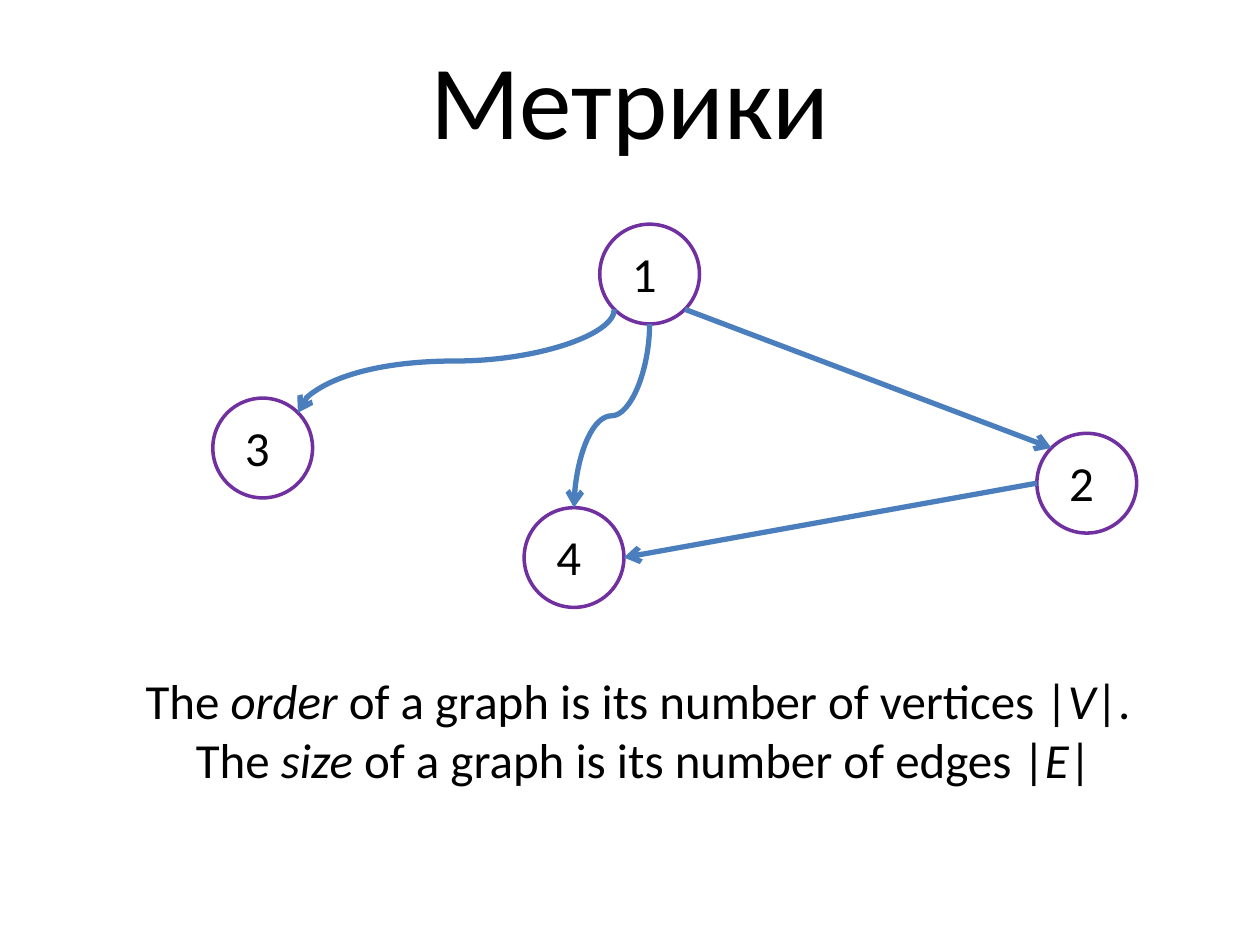
from math import cos, radians, sin

from lxml.etree import SubElement
from pptx import Presentation
from pptx.dml.color import RGBColor
from pptx.enum.shapes import MSO_CONNECTOR, MSO_SHAPE
from pptx.enum.text import MSO_ANCHOR, PP_ALIGN
from pptx.oxml.ns import qn
from pptx.util import Pt

COLORS = {name: RGBColor.from_string(code) for name, code in {
    "text": "000000", "node": "FFFFFF", "ring": "7030A0", "edge": "4B7EBC"}.items()}
FRAME = {"word_wrap": True, "vertical_anchor": MSO_ANCHOR.MIDDLE,
         "margin_left": 0, "margin_right": 0, "margin_top": 0, "margin_bottom": 0}
DIAMETER = 57

prs = Presentation()
prs.slide_width, prs.slide_height = Pt(720), Pt(540)
slide = prs.slides.add_slide(prs.slide_layouts[6])


def add_text(left, top, width, height, lines, size):
    """Centred text; each line is a list of pieces, every second one italic."""
    frame = slide.shapes.add_textbox(Pt(left), Pt(top), Pt(width), Pt(height)).text_frame
    for name, value in FRAME.items():
        setattr(frame, name, value)
    for number, pieces in enumerate(lines):
        paragraph = frame.add_paragraph() if number else frame.paragraphs[0]
        paragraph.alignment = PP_ALIGN.CENTER
        for position, piece in enumerate(pieces):
            run = paragraph.add_run()
            run.text = piece
            for name, value in {"name": "Calibri", "size": Pt(size),
                                "italic": position % 2 == 1}.items():
                setattr(run.font, name, value)
            run.font.color.rgb = COLORS["text"]


def rim_point(vertex, angle):
    """Point on a vertex circle, clockwise from the right."""
    x, y = vertices[vertex]
    return (x + DIAMETER / 2 * cos(radians(angle)),
            y + DIAMETER / 2 * sin(radians(angle)))


# Title and definitions
add_text(54, -2, 612, 116, [["Метрики"]], 60)
add_text(64, 374.4, 601.2, 85, [
    ["The\u00a0", "order", "\u00a0of a graph is its number of vertices\u00a0|", "V", "|."],
    [" The\u00a0", "size", "\u00a0of a graph is its number of edges\u00a0|", "E", "|"],
], 28)

# Vertices, by centre
vertices = {1: (371.2, 156.6), 2: (621, 276.1), 3: (150.1, 256), 4: (328, 318.6)}
for label, (x, y) in vertices.items():
    circle = slide.shapes.add_shape(
        MSO_SHAPE.OVAL, Pt(x - DIAMETER / 2), Pt(y - DIAMETER / 2), Pt(DIAMETER), Pt(DIAMETER))
    circle.shadow.inherit = False
    circle.fill.solid()
    circle.fill.fore_color.rgb = COLORS["node"]
    circle.line.color.rgb = COLORS["ring"]
    circle.line.width = Pt(2)
    add_text(x - 17, y - 23.4, 28, 45.4, [[str(label)]], 28)

# Edges: source, rim angle, target, rim angle, curved
edges = [(1, 45, 2, 225, False), (1, 135, 3, 315, True),
         (1, 90, 4, 270, True), (2, 180, 4, 0, False)]
for source, leave, target, arrive, curved in edges:
    (x1, y1), (x2, y2) = rim_point(source, leave), rim_point(target, arrive)
    kind = MSO_CONNECTOR.STRAIGHT
    if curved:
        # Lay the curve out sideways; a quarter turn makes it leave downwards
        kind = MSO_CONNECTOR.CURVE
        middle_x, middle_y = (x1 + x2) / 2, (y1 + y2) / 2
        half_w, half_h = (y2 - y1) / 2, (x1 - x2) / 2
        x1, y1 = middle_x - half_w, middle_y - half_h
        x2, y2 = middle_x + half_w, middle_y + half_h
    edge = slide.shapes.add_connector(kind, Pt(x1), Pt(y1), Pt(x2), Pt(y2))
    edge.line.color.rgb = COLORS["edge"]
    edge.line.width = Pt(3)
    properties = edge.element.spPr
    if curved:
        properties.find(qn("a:xfrm")).set("rot", str(90 * 60000))
    SubElement(properties.find(qn("a:ln")), qn("a:tailEnd"), type="arrow")
    SubElement(properties, qn("a:effectLst"))

prs.save("out.pptx")
